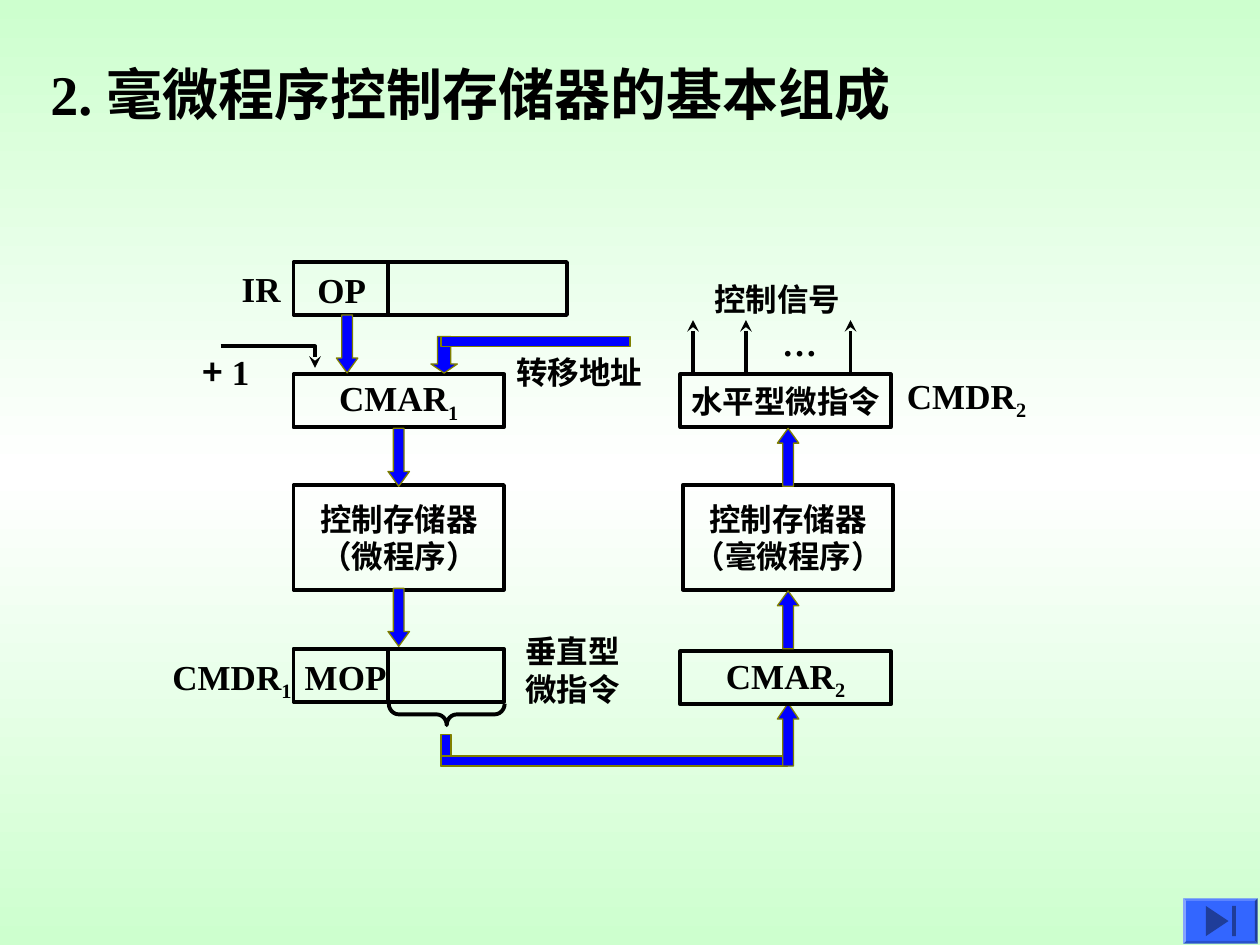
"""Build the slide on the structure of a nano-program control store."""
from copy import deepcopy

from lxml import etree
from pptx import Presentation
from pptx.dml.color import RGBColor
from pptx.enum.shapes import MSO_CONNECTOR, MSO_SHAPE
from pptx.enum.text import MSO_ANCHOR, MSO_AUTO_SIZE, PP_ALIGN
from pptx.oxml.ns import qn
from pptx.util import Inches, Pt

BLACK = RGBColor(0, 0, 0)
WHITE = RGBColor(255, 255, 255)
MINT = RGBColor(0xCD, 0xFF, 0xCE)
BLUE = RGBColor(0, 0, 255)
OLIVE = RGBColor(0x80, 0x80, 0)
BUTTON_BLUE = RGBColor(0x33, 0x66, 0xFF)
BUTTON_MARK = RGBColor(0x1F, 0x3D, 0x99)
RECT = MSO_SHAPE.RECTANGLE
DOWN = MSO_SHAPE.DOWN_ARROW
UP = MSO_SHAPE.UP_ARROW
BRACE = MSO_SHAPE.RIGHT_BRACE
BEVEL = MSO_SHAPE.BEVEL
TRIANGLE = MSO_SHAPE.ISOSCELES_TRIANGLE
STRAIGHT = MSO_CONNECTOR.STRAIGHT
LEFT, CENTER = PP_ALIGN.LEFT, PP_ALIGN.CENTER
TOP, MIDDLE = MSO_ANCHOR.TOP, MSO_ANCHOR.MIDDLE
NO_FIT = MSO_AUTO_SIZE.NONE
SERIF, SANS, CJK = "Times New Roman", "DejaVu Sans", "Noto Sans CJK SC"


class Diagram:
    """Hold the slide and the style of its elements."""

    def __init__(self, slide):
        self.slide = slide
        self.shapes = slide.shapes

    def background(self, edge, middle):
        fill = self.slide.background.fill
        fill.gradient()
        fill.gradient_angle = 90
        for stop, position in zip(fill.gradient_stops, (0, 1)):
            stop.color.rgb = edge
            stop.position = position
        stops = self.slide.element.find(".//" + qn("a:gsLst"))
        stops.insert(1, deepcopy(stops[0]))
        center = fill.gradient_stops[1]
        center.position = 0.5
        center.color.rgb = middle

    def set_text(self, shape, lines, align=LEFT, anchor=TOP, wrap=False):
        frame = shape.text_frame
        frame.word_wrap = wrap
        frame.auto_size = NO_FIT
        frame.vertical_anchor = anchor
        for index, runs in enumerate(lines):
            paragraph = frame.add_paragraph() if index else frame.paragraphs[0]
            paragraph.alignment = align
            paragraph.space_before = Pt(0)
            for text, size, face, *subscript in runs:
                run = paragraph.add_run()
                run.text = text
                run.font.size = Pt(size)
                run.font.name = face
                run.font.bold = True
                run.font.color.rgb = BLACK
                properties = run.font._element
                if subscript:
                    properties.set("baseline", "-25000")
                etree.SubElement(properties, qn("a:ea"), typeface=SANS)

    def title(self, place, runs):
        title = self.shapes.title
        title.left, title.top, title.width, title.height = map(Inches, place)
        self.set_text(title, [runs], wrap=True)

    def label(self, place, *lines):
        self.set_text(self.shapes.add_textbox(*map(Inches, place)), lines)

    def outline(self, shape):
        shape.shadow.inherit = False
        shape.fill.background()
        shape.line.color.rgb = BLACK
        shape.line.width = Pt(2.25)

    def box(self, place, *lines):
        box = self.shapes.add_shape(RECT, *map(Inches, place))
        self.outline(box)
        self.set_text(box, lines, CENTER, MIDDLE)

    def brace(self, place):
        brace = self.shapes.add_shape(BRACE, *map(Inches, place))
        self.outline(brace)
        brace.adjustments[0] = 0.47
        brace.rotation = 90

    def solid(self, kind, place, color, edge=None):
        shape = self.shapes.add_shape(kind, *map(Inches, place))
        shape.shadow.inherit = False
        shape.fill.solid()
        shape.fill.fore_color.rgb = color
        if edge is None:
            shape.line.fill.background()
        else:
            shape.line.color.rgb = edge
            shape.line.width = Pt(0.75)
        return shape

    def bar(self, place):
        self.solid(RECT, place, BLUE, OLIVE)

    def arrow(self, kind, place, head=0.69):
        arrow = self.solid(kind, place, BLUE, OLIVE)
        arrow.adjustments[1] = head

    def stealth(self, shape):
        etree.SubElement(shape.line._get_or_add_ln(), qn("a:tailEnd"), type="stealth")

    def line(self, start, end, pointed=False):
        line = self.shapes.add_connector(STRAIGHT, *map(Inches, start + end))
        line.line.color.rgb = BLACK
        line.line.width = Pt(2.25)
        if pointed:
            self.stealth(line)
        etree.SubElement(line._element.spPr, qn("a:effectLst"))

    def elbow(self, start, *points):
        builder = self.shapes.build_freeform(*map(Inches, start))
        builder.add_line_segments([tuple(map(Inches, p)) for p in points], close=False)
        elbow = builder.convert_to_shape()
        self.outline(elbow)
        self.stealth(elbow)

    def end_button(self):
        button = self.solid(BEVEL, (9.39, 7.13, 0.59, 0.36), BUTTON_BLUE)
        button.adjustments[0] = 0.06
        mark = self.solid(TRIANGLE, (9.54, 7.22, 0.24, 0.18), BUTTON_MARK)
        mark.rotation = 90
        self.solid(RECT, (9.78, 7.19, 0.03, 0.24), BUTTON_MARK)


def latin(text):
    return (text, 20, SERIF)


def chinese(text):
    return (text, 18, SERIF)


def register(name, number):
    return [latin(name), (number, 20, SERIF, True)]


def main():
    deck = Presentation()
    deck.slide_width, deck.slide_height = Inches(10), Inches(7.5)
    diagram = Diagram(deck.slides.add_slide(deck.slide_layouts[5]))
    diagram.background(MINT, WHITE)
    diagram.title((0.3, 0.42, 8.03, 0.64), [
        ("2.", 32, SERIF), ("　", 8, SERIF), ("毫微程序控制存储器的基本组成", 32, SANS)])

    diagram.brace((3.46, 5.21, 0.17, 0.92))
    diagram.bar((3.5, 5.83, 0.08, 0.25))
    diagram.bar((3.5, 6, 2.75, 0.08))
    diagram.arrow(UP, (6.17, 5.58, 0.17, 0.5), 0.75)

    diagram.box((2.33, 2.08, 2.17, 0.42))
    diagram.box((2.33, 2.97, 1.67, 0.42), register("CMAR", "1"))
    diagram.box((2.33, 3.85, 1.67, 0.83), [chinese("控制存储器")], [chinese("（微程序）")])
    diagram.box((2.33, 5.15, 1.67, 0.42))
    for top in (2.08, 5.15):
        diagram.line((3.08, top), (3.08, top + 0.42))
    for left, top in ((2.67, 2.5), (3.08, 3.4), (3.08, 4.67)):
        diagram.arrow(DOWN, (left, top, 0.17, 0.46))
    diagram.arrow(DOWN, (3.42, 2.67, 0.21, 0.29), 0.34)
    diagram.bar((3.5, 2.67, 1.5, 0.08))
    diagram.elbow((1.75, 2.75), (2.5, 2.75), (2.5, 2.92))
    diagram.label((2.32, 5.15, 0.85, 0.44), [latin("MOP")])
    diagram.label((2.42, 2.08, 0.58, 0.44), [latin("OP")])
    diagram.label((4, 2.75, 1.2, 0.4), [chinese("转移地址")])
    diagram.label((4.07, 4.97, 0.95, 0.7), [chinese("垂直型")], [chinese("微指令")])
    diagram.label((1.82, 2.07, 0.51, 0.44), [latin("IR")])
    diagram.label((1.51, 2.73, 0.57, 0.44), [("+", 20, CJK), latin(" 1")])
    diagram.label((1.27, 5.15, 1.14, 0.48), register("CMDR", "1"))

    diagram.box((5.4, 2.97, 1.67, 0.42), [chinese("水平型微指令")])
    diagram.box((5.42, 3.85, 1.67, 0.83), [chinese("控制存储器")], [chinese("（毫微程序）")])
    diagram.box((5.4, 5.17, 1.67, 0.42), register("CMAR", "2"))
    for top in (3.4, 4.69):
        diagram.arrow(UP, (6.17, top, 0.17, 0.46))
    for signal in (5.5, 5.92, 6.75):
        diagram.line((signal, 2.96), (signal, 2.54), pointed=True)
    diagram.label((6.11, 2.5, 0.48, 0.44), [latin("…")])
    diagram.label((5.57, 2.17, 1.2, 0.4), [chinese("控制信号")])
    diagram.label((7.1, 2.92, 1.14, 0.48), register("CMDR", "2"))
    diagram.end_button()
    deck.save("out.pptx")


if __name__ == "__main__":
    main()
